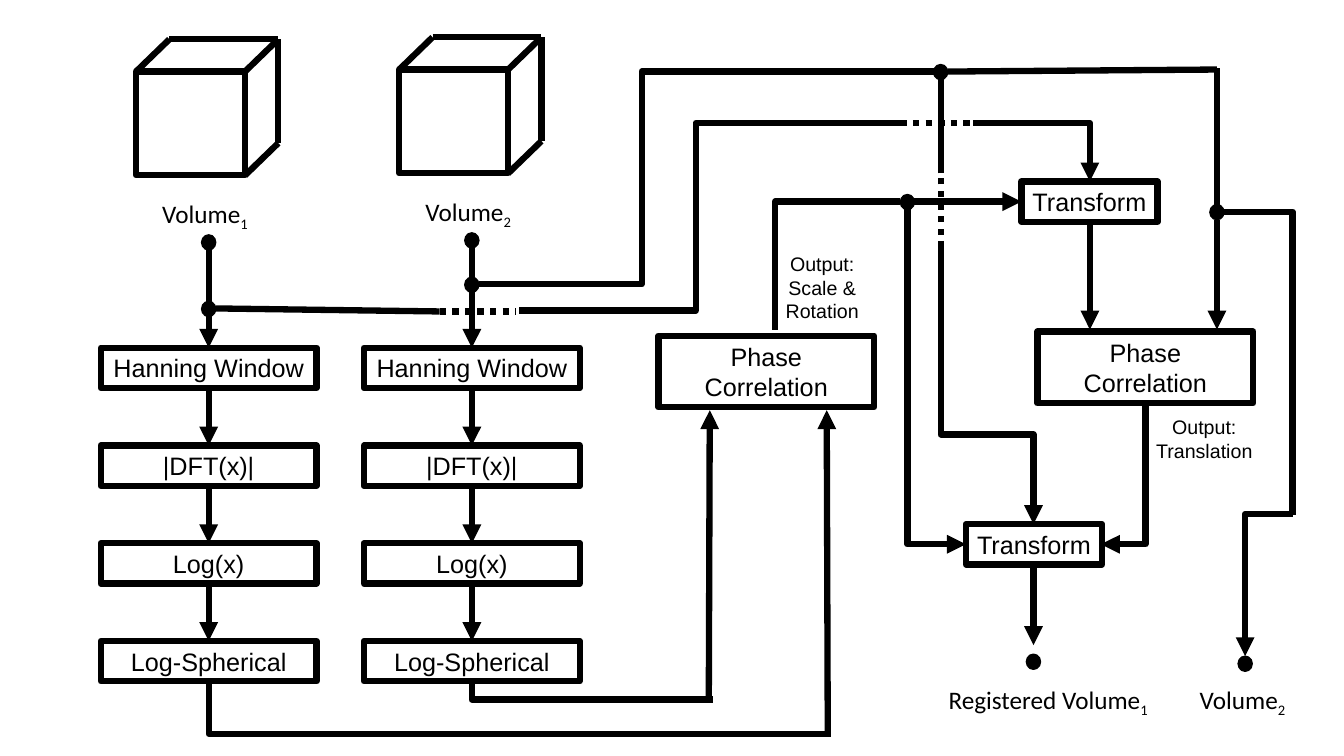
"""Build the volume registration flow chart slide."""
from lxml import etree
from pptx import Presentation
from pptx.dml.color import RGBColor
from pptx.enum.dml import MSO_LINE
from pptx.enum.shapes import MSO_CONNECTOR, MSO_SHAPE
from pptx.enum.text import MSO_ANCHOR, MSO_AUTO_SIZE, PP_ALIGN
from pptx.oxml.ns import qn
from pptx.util import Inches, Pt

RECTANGLE, OVAL = MSO_SHAPE.RECTANGLE, MSO_SHAPE.OVAL
STRAIGHT, ELBOW = MSO_CONNECTOR.STRAIGHT, MSO_CONNECTOR.ELBOW
DOTTED = MSO_LINE.ROUND_DOT
MIDDLE, TOP = MSO_ANCHOR.MIDDLE, MSO_ANCHOR.TOP
CENTER, LEFT = PP_ALIGN.CENTER, PP_ALIGN.LEFT
GROW = MSO_AUTO_SIZE.SHAPE_TO_FIT_TEXT

COLORS = {"ink": "000000", "paper": "FFFFFF"}
COLUMNS, ROWS = 13.33, 7.5
STROKE = 4.5
BOX_WIDTH, BOX_HEIGHT, TALL_HEIGHT, SMALL_WIDTH = 2.14, 0.4, 0.71, 1.35
CHAIN_LEFT, CHAIN_STEP = 2.07, 2.61
STAGE_TOP, STAGE_STEP = 3.45, 0.97
STAGES = ["Hanning Window", "|DFT(x)|", "Log(x)", "Log-Spherical"]


def grid(*cells):
    """Turn grid columns or rows, one inch each, into lengths."""
    return [Inches(cell) for cell in cells]


def color(name):
    """Return a named colour."""
    return RGBColor.from_string(COLORS[name])


def add_preset(page, kind, place, fill=None, stroke=STROKE):
    """Add an outlined preset shape without shadow."""
    shape = page.shapes.add_shape(kind, *grid(*place))
    shape.shadow.inherit = False
    if fill:
        shape.fill.solid()
        shape.fill.fore_color.rgb = color(fill)
    else:
        shape.fill.background()
    shape.line.color.rgb = color("ink")
    shape.line.width = Pt(stroke)
    return shape


def add_dot(page, x, y):
    """Add a junction dot centred on a point."""
    add_preset(page, OVAL, (x - 0.07, y - 0.07, 0.14, 0.15), "ink", 1)


def write(shape, text, size, font, align, anchor):
    """Fill a shape with text of one style."""
    frame = shape.text_frame
    frame.text = text
    frame.word_wrap = True
    frame.auto_size = GROW
    frame.vertical_anchor = anchor
    for para in frame.paragraphs:
        para.alignment = align
        for span in para.runs:
            style_span(span, size, font)


def style_span(span, size, font):
    """Set size, font and colour of a run."""
    span.font.size = Pt(size)
    span.font.name = font
    span.font.color.rgb = color("ink")


def add_box(page, text, x, y, width=BOX_WIDTH, height=BOX_HEIGHT):
    """Add an outlined process box."""
    box = add_preset(page, RECTANGLE, (x, y, width, height))
    write(box, text, 18, "Arial", CENTER, MIDDLE)


def add_note(page, text, place):
    """Add a centred note beside an arrow."""
    write(page.shapes.add_textbox(*grid(*place)), text, 14, "Arial", CENTER, TOP)


def add_volume_label(page, text, index, x, y, width=1.25):
    """Add a volume name with a subscript number."""
    label = page.shapes.add_textbox(*grid(x, y, width, 0.4))
    write(label, text, 18, "Calibri", LEFT, TOP)
    span = label.text_frame.paragraphs[0].add_run()
    span.text = str(index)
    style_span(span, 18, "Calibri")
    span.font._element.set("baseline", "-25000")


def add_line(page, start, end, arrow=None, dash=None, kind=STRAIGHT):
    """Add a connector; arrow is headEnd or tailEnd."""
    line = page.shapes.add_connector(kind, *grid(*start, *end))
    line.line.color.rgb = color("ink")
    line.line.width = Pt(STROKE)
    if dash:
        line.line.dash_style = dash
    properties = line._element.spPr
    if arrow:
        outline = properties.find(qn("a:ln"))
        etree.SubElement(outline, qn("a:" + arrow), type="triangle")
    etree.SubElement(properties, qn("a:effectLst"))
    return line


def add_corner(page, start, end, arrow=None):
    """Add a connector that runs across, then up or down."""
    line = add_line(page, start, end, arrow, kind=ELBOW)
    line._element.spPr.find(qn("a:prstGeom")).set("prst", "bentConnector2")


def add_step(page, start, end, bend, arrow=None, upright=False):
    """Add a three-part connector that turns at a share of its run."""
    line = add_line(page, start, end, arrow, kind=ELBOW)
    properties = line._element.spPr
    guides = properties.find(qn("a:prstGeom")).get_or_add_avLst()
    etree.SubElement(guides, qn("a:gd"), name="adj1", fmla=f"val {round(bend * 100000)}")
    if upright:
        width, height = line.width, line.height
        line.left += (width - height) // 2
        line.top += (height - width) // 2
        line.width, line.height = height, width
        frame = properties.find(qn("a:xfrm"))
        frame.set("rot", "16200000")
        frame.set("flipH", "1")


def add_cube(page, x, y):
    """Add a cube drawn as a front face and five edges."""
    width, height, depth, rise = 1.08, 1.03, 0.33, 0.32
    add_preset(page, RECTANGLE, (x, y, width, height), "paper")
    right, bottom = x + width, y + height
    back_left, back_right = (x + depth, y - rise), (right + depth, y - rise)
    back_bottom = (right + depth, bottom - rise)
    edges = [((right, y), back_right), ((right, bottom), back_bottom),
             ((x, y), back_left), (back_bottom, back_right), (back_left, back_right)]
    for start, end in edges:
        add_line(page, start, end)


def add_chain(page, index, junction):
    """Add one volume with its column of processing stages."""
    center = CHAIN_LEFT + index * CHAIN_STEP
    top = 0.71 - 0.02 * index
    add_cube(page, center - 0.72, top)
    add_volume_label(page, "Volume", index + 1, center - 0.56, top + 1.21)
    add_dot(page, center, top + 1.69)
    add_dot(page, center, junction)
    add_line(page, (center, top + 1.76), (center, junction))
    add_line(page, (center, junction + 0.07), (center, STAGE_TOP), "tailEnd")
    for row, stage in enumerate(STAGES):
        y = STAGE_TOP + row * STAGE_STEP
        add_box(page, stage, center - BOX_WIDTH / 2, y)
        if row:
            add_line(page, (center, y - STAGE_STEP + BOX_HEIGHT), (center, y), "tailEnd")


def add_scale_stage(page):
    """Add the phase correlation that finds scale and rotation."""
    add_box(page, "Phase Correlation", 6.53, 3.33, height=TALL_HEIGHT)
    add_note(page, "Output:\nScale &\nRotation", (7.6, 2.45, 1.11, 0.81))
    add_corner(page, (7.07, 6.94), (4.68, 6.76))
    add_line(page, (7.03, 6.94), (7.04, 4.07), "tailEnd")
    add_corner(page, (8.24, 7.28), (2.07, 6.76))
    add_line(page, (8.21, 7.28), (8.2, 4.07), "tailEnd")
    add_corner(page, (8.93, 2), (7.69, 3.27))
    add_dot(page, 9, 2)
    add_line(page, (9.07, 2), (10.13, 2), "tailEnd")
    add_corner(page, (9.58, 5.4), (9, 2.07), "headEnd")


def add_feeds(page):
    """Add the lines that carry both volumes to the right side."""
    add_line(page, (4.36, 3.09), (2.14, 3.06))
    add_line(page, (4.36, 3.09), (5.12, 3.09), dash=DOTTED)
    add_step(page, (5.15, 3.08), (8.93, 1.22), 0.463)
    add_line(page, (8.93, 1.22), (9.67, 1.22), dash=DOTTED)
    add_corner(page, (9.65, 1.22), (10.81, 1.8), "tailEnd")
    add_step(page, (4.75, 2.82), (9.26, 0.71), 0.358)
    add_dot(page, 9.33, 0.71)
    add_line(page, (12.07, 0.69), (9.4, 0.71))
    add_line(page, (9.33, 1.72), (9.33, 0.78))
    add_line(page, (9.33, 2.33), (9.33, 1.73), dash=DOTTED)
    add_step(page, (9.33, 2.39), (10.25, 5.2), 0.683, "tailEnd", upright=True)
    add_line(page, (12.07, 2.03), (12.07, 0.67))
    add_dot(page, 12.07, 2.1)
    add_line(page, (12.07, 2.18), (12.07, 3.27), "tailEnd")


def add_translation_stage(page):
    """Add both transforms, the translation step and the results."""
    add_box(page, "Transform", 10.13, 1.8, SMALL_WIDTH)
    add_line(page, (10.81, 2.2), (10.81, 3.27), "tailEnd")
    add_box(page, "Phase Correlation", 10.29, 3.29, height=TALL_HEIGHT)
    add_note(page, "Output:\nTranslation", (11.33, 4.07, 1.23, 0.57))
    add_corner(page, (10.92, 5.4), (11.36, 4), "headEnd")
    add_box(page, "Transform", 9.58, 5.2, SMALL_WIDTH)
    add_line(page, (10.25, 5.6), (10.25, 6.4), "tailEnd")
    add_dot(page, 10.25, 6.56)
    add_volume_label(page, "Registered Volume", 1, 9.31, 6.74, 2.3)
    add_corner(page, (12.14, 2.1), (12.82, 5.11))
    add_corner(page, (12.82, 5.1), (12.35, 6.51), "tailEnd")
    add_dot(page, 12.35, 6.58)
    add_volume_label(page, "Volume", 2, 11.8, 6.74)


def main():
    """Build and save the deck."""
    deck = Presentation()
    deck.slide_width, deck.slide_height = grid(COLUMNS, ROWS)
    page = deck.slides.add_slide(deck.slide_layouts[6])
    for index, junction in enumerate([3.06, 2.82]):
        add_chain(page, index, junction)
    add_scale_stage(page)
    add_feeds(page)
    add_translation_stage(page)
    deck.save("out.pptx")


main()
